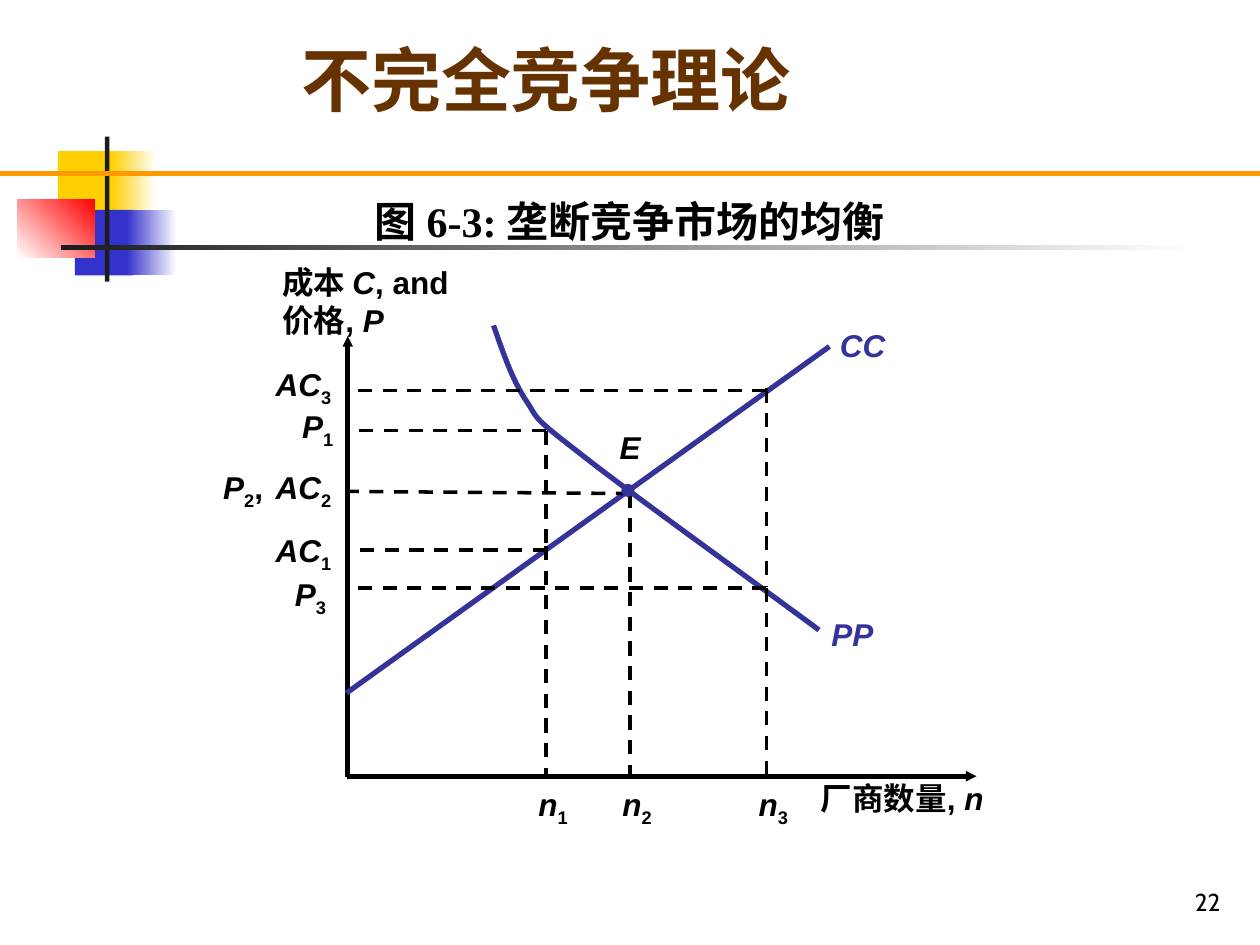
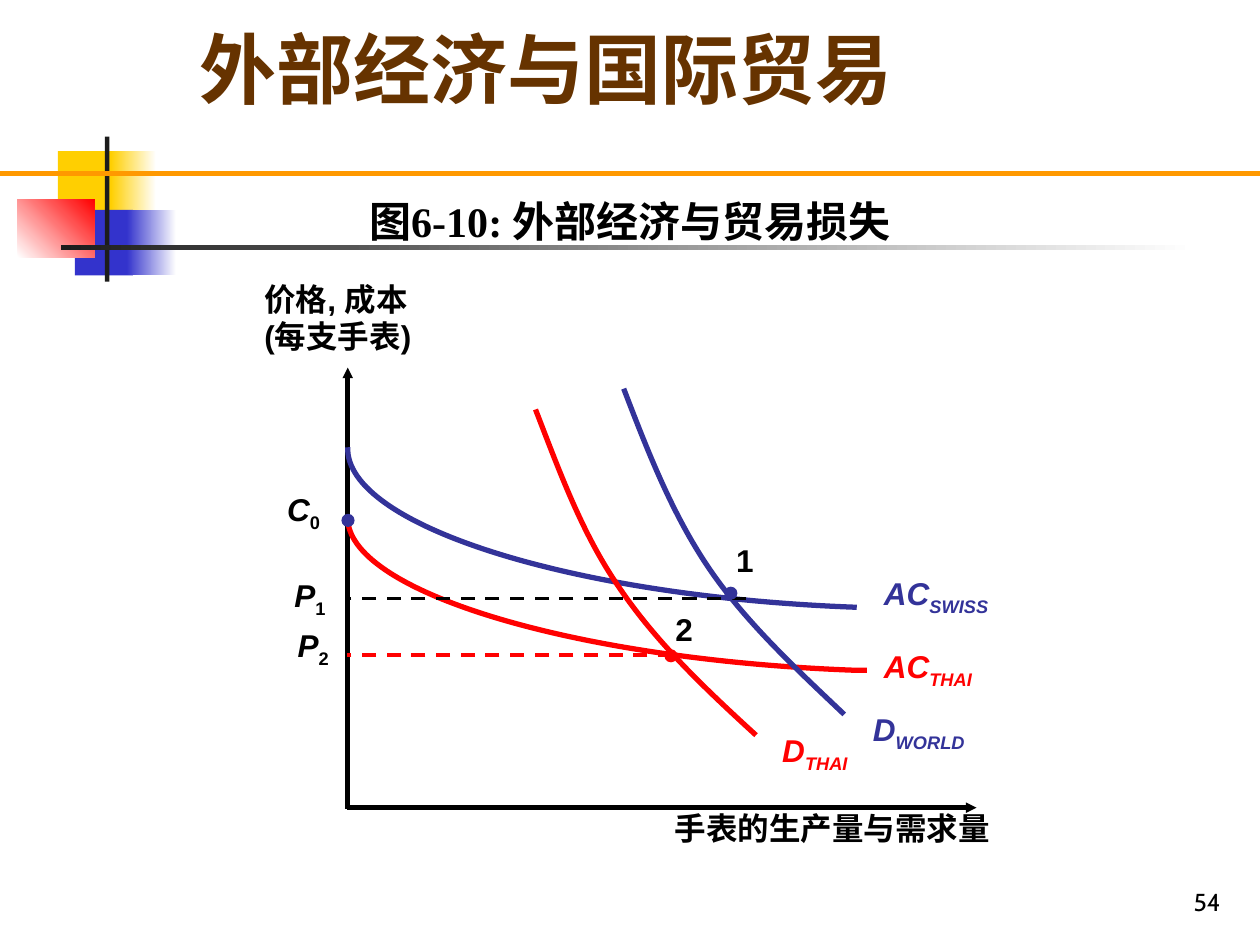
"""Build two economics slides: monopolistic competition and external economies."""
from dataclasses import dataclass

from lxml.etree import SubElement
from pptx import Presentation
from pptx.dml.color import RGBColor
from pptx.enum.dml import MSO_LINE
from pptx.enum.shapes import MSO_CONNECTOR, MSO_SHAPE
from pptx.enum.text import MSO_ANCHOR, PP_ALIGN
from pptx.oxml.ns import qn
from pptx.util import Inches, Pt


@dataclass(frozen=True)
class Theme:
    ink: str = "000000"
    white: str = "FFFFFF"
    brown: str = "663300"
    orange: str = "FF9900"
    yellow: str = "FFCF01"
    blue: str = "3333CC"
    pink: str = "FF0000"
    charcoal: str = "1C1C1C"
    navy: str = "333399"
    red: str = "FF0101"
    heading_font: str = "Times New Roman"
    label_font: str = "Arial"
    number_font: str = "Cabin"
    caption_size: int = 24
    label_size: int = 18
    number_size: int = 14
    curve_weight: int = 3
    guide_weight: int = 2


theme = Theme()
deck = Presentation()
deck.slide_width, deck.slide_height = Inches(10), Inches(7.5)
COLUMN = deck.slide_width // 100
ROW = deck.slide_height // 75


def write(page, place, paragraphs, size=theme.label_size, font=theme.label_font,
          colour=theme.ink, bold=True, align=PP_ALIGN.LEFT, anchor=MSO_ANCHOR.TOP,
          outline=None):
    """Add a text box; each span is (text, style), where i is italic and s subscript."""
    left, top, width, height = place
    frame_place = (int(left * COLUMN), int(top * ROW), int(width * COLUMN), int(height * ROW))
    if outline:
        box = page.shapes.add_shape(MSO_SHAPE.RECTANGLE, *frame_place)
        box.shadow.inherit = False
        box.fill.background()
        box.line.color.rgb = RGBColor.from_string(outline)
        box.line.width = Pt(1)
    else:
        box = page.shapes.add_textbox(*frame_place)
    frame = box.text_frame
    frame.word_wrap = True
    frame.vertical_anchor = anchor
    for index, spans in enumerate(paragraphs):
        para = frame.paragraphs[0] if index == 0 else frame.add_paragraph()
        para.alignment = align
        for text, style in spans:
            span = para.add_run()
            span.text = text
            span.font.name, span.font.size = font, Pt(size)
            span.font.bold, span.font.italic = bold, "i" in style
            span.font.color.rgb = RGBColor.from_string(colour)
            if "s" in style:
                span.font._element.set("baseline", "-25000")


def draw_line(page, start, end, colour=theme.ink, weight=theme.curve_weight,
              dashed=False, arrow=False):
    """Add a straight line, dashed or with a small arrowhead at its end if asked."""
    line = page.shapes.add_connector(
        MSO_CONNECTOR.STRAIGHT, int(start[0] * COLUMN), int(start[1] * ROW),
        int(end[0] * COLUMN), int(end[1] * ROW))
    line.line.color.rgb = RGBColor.from_string(colour)
    line.line.width = Pt(weight)
    if dashed:
        line.line.dash_style = MSO_LINE.DASH
    if arrow:
        SubElement(line.line._get_or_add_ln(), qn("a:tailEnd"),
                   type="triangle", w="sm", len="sm")
    SubElement(line._element.spPr, qn("a:effectLst"))


emblem = [
    ((4.6, 12, 4.8, 5.2), theme.yellow, None, 0),
    ((8.8, 12, 3.6, 5.2), theme.yellow, theme.white, 0),
    ((5.95, 16.65, 4.6, 5.2), theme.blue, None, 0),
    ((10.05, 16.65, 3.95, 5.2), theme.blue, theme.white, 0),
    ((1.4, 15.8, 6.1, 4.65), theme.white, theme.pink, 45),
    ((8.33, 10.85, 0.35, 11.5), theme.charcoal, None, 0),
    ((4.85, 19.47, 90, 0.35), theme.charcoal, theme.white, 0),
]

axis_left = 27.6
firm_counts = {"1": 43.35, "2": 50, "3": 60.83}
competition = {
    "number": "22",
    "title": "不完全竞争理论", "title_place": (0.83, 0, 85, 12.5), "title_size": 40,
    "caption": "图 6-3: 垄断竞争市场的均衡",
    "axis_top": 26.67, "axis_base": 61.6,
    "curves": [
        (theme.navy, [(39.17, 25.83), (39.9, 27.9), (40.6, 30), (41.67, 31.67),
                      (42.8, 33.3), (41.9, 32.8), (45.83, 35.83),
                      (49.7, 38.9), (57.4, 44.4), (65, 50)]),
    ],
    "lines": [((27.5, 55), (65.83, 27.5))],
    "guides": [
        ((60.83, 46.67), (27.5, 46.67), theme.ink),
        ((60.83, 31), (27.5, 31), theme.ink),
        ((60.83, 30.83), (60.83, 46.6), theme.ink),
        ((60.83, 46.67), (60.83, 61.67), theme.ink),
        ((43.33, 43.33), (43.33, 61.8), theme.ink),
        ((43.4, 43.67), (27.6, 43.67), theme.ink),
        ((50, 39.17), (27.5, 39), theme.ink),
        ((50, 39.17), (50, 61.8), theme.ink),
        ((43.33, 34.17), (27.5, 34.17), theme.ink),
        ((43.33, 34.17), (43.33, 43.33), theme.ink),
    ],
    "dots": [(49.83, 38.92, theme.navy)],
    "labels": [
        ((21.42, 20.4, 16.5, 7), theme.ink,
         [[("成本 ", ""), ("C", "i"), (", and", "")], [("价格, ", ""), ("P", "i")]]),
        ((64.17, 61.3, 15.83, 4), theme.ink, [[("厂商数量, ", ""), ("n", "i")]]),
        ((65, 48.3, 5.6, 4), theme.navy, [[("PP", "i")]]),
        ((65.67, 25.4, 5.9, 4), theme.navy, [[("CC", "i")]]),
        ((48.2, 33.5, 3.9, 4), theme.ink, [[("E", "i")]]),
        ((16.72, 36.67, 5.5, 4.4), theme.ink, [[("P", "i"), ("2", "s"), (",", "")]]),
        ((23, 31.83, 7, 4.4), theme.ink, [[("P", "i"), ("1", "s")]]),
        ((22.42, 45.17, 7.6, 4.4), theme.ink, [[("P", "i"), ("3", "s")]]),
    ] + [
        ((20.9, top, 6.7, 4.4), theme.ink, [[("AC", "i"), (mark, "s")]])
        for mark, top in (("1", 41.67), ("2", 36.67), ("3", 28.5))
    ] + [
        ((tick - 1.6, 61.8, 4.9, 4.4), theme.ink, [[("n", "i"), (mark, "s")]])
        for mark, tick in firm_counts.items()
    ],
}
trade = {
    "number": "54",
    "title": "外部经济与国际贸易", "title_place": (0.85, 0.83, 85, 9.1), "title_size": 44,
    "caption": "图6-10: 外部经济与贸易损失",
    "axis_top": 29.17, "axis_base": 64.1,
    "curves": [
        (theme.navy, [(68, 48.2), (45.5, 47.4), (27.4, 41.7), (27.6, 35.5)]),
        (theme.red, [(68.8, 53.2), (68.6, 53.2), (68.3, 53.2), (68, 53.2),
                     (45.5, 52.4), (27.4, 46.9), (27.6, 41)]),
        (theme.red, [(42.5, 32.5), (44.4, 37.4), (46.2, 42.4), (49.17, 46.67),
                     (52.1, 51), (56, 54.7), (60, 58.35)]),
        (theme.navy, [(49.5, 30.85), (51.4, 35.8), (53.3, 40.7), (56.2, 45),
                      (59.1, 49.3), (63.1, 53), (67, 56.7)]),
    ],
    "lines": [],
    "guides": [
        ((59.2, 47.5), (27.4, 47.5), theme.ink),
        ((53.33, 52), (27.5, 52), theme.red),
    ],
    "dots": [(27.62, 41.3, theme.navy), (53.25, 52.05, theme.red),
             (58, 47.08, theme.navy)],
    "labels": [
        ((20, 21.7, 16.7, 7), theme.ink, [[("价格, 成本", "")], [("(每支手表)", "")]]),
        ((52.55, 63.7, 27.5, 4), theme.ink, [[("手表的生产量与需求量", "")]]),
        ((69.17, 45.05, 16, 4.4), theme.navy, [[("AC", "i"), ("SWISS", "is")]]),
        ((69.17, 50.87, 14.3, 4.4), theme.red, [[("AC", "i"), ("THAI", "is")]]),
        ((61.1, 57.5, 7.5, 4.4), theme.red, [[("D", "i"), ("THAI", "is")]]),
        ((68.3, 55.85, 9.6, 4.4), theme.navy, [[("D", "i"), ("WORLD", "is")]]),
        ((57.45, 42.45, 3.7, 4), theme.ink, [[("1", "")]]),
        ((52.63, 47.9, 3.6, 4), theme.ink, [[("2", "")]]),
        ((21.8, 38.4, 8.2, 4.4), theme.ink, [[("C", "i"), ("0", "s")]]),
        ((22.37, 45.2, 4.8, 4.4), theme.ink, [[("P", "i"), ("1", "s")]]),
    ],
    "boxed_label": ((22.63, 49.2, 4.5, 4.4), [[("P", "i"), ("2", "s")]]),
}

for chart in (competition, trade):
    page = deck.slides.add_slide(deck.slide_layouts[6])

    for (left, top, width, height), first, last, angle in emblem:
        block = page.shapes.add_shape(MSO_SHAPE.RECTANGLE, int(left * COLUMN), int(top * ROW),
                                      int(width * COLUMN), int(height * ROW))
        block.shadow.inherit = False
        block.line.fill.background()
        if last:
            block.fill.gradient()
            block.fill.gradient_angle = angle
            for stop, colour in zip(block.fill.gradient_stops, (first, last)):
                stop.color.rgb = RGBColor.from_string(colour)
        else:
            block.fill.solid()
            block.fill.fore_color.rgb = RGBColor.from_string(first)
    draw_line(page, (0, 13.77), (100, 13.77), theme.orange)

    write(page, chart["title_place"], [[(chart["title"], "")]], chart["title_size"],
          theme.heading_font, theme.brown, align=PP_ALIGN.CENTER, anchor=MSO_ANCHOR.MIDDLE)
    write(page, (0, 14.2, 100, 5.8), [[(chart["caption"], "")]], theme.caption_size,
          theme.heading_font, align=PP_ALIGN.CENTER, anchor=MSO_ANCHOR.BOTTOM)
    write(page, (77.05, 68.25, 20.8, 5), [[(chart["number"], "")]], theme.number_size,
          theme.number_font, bold=False, align=PP_ALIGN.RIGHT, anchor=MSO_ANCHOR.BOTTOM)

    base = chart["axis_base"]
    draw_line(page, (27.5, base), (77.5, base), arrow=True)
    draw_line(page, (axis_left, base + 0.1), (axis_left, chart["axis_top"]), arrow=True)

    for colour, knots in chart["curves"]:
        outline = [(int(x * COLUMN), int(y * ROW)) for x, y in knots]
        builder = page.shapes.build_freeform(*outline[0])
        builder.add_line_segments(outline[1:], close=False)
        curve = builder.convert_to_shape()
        route = next(curve._element.iter(qn("a:path")))
        segments = route.findall(qn("a:lnTo"))
        for first in range(0, len(segments), 3):
            bend = SubElement(route, qn("a:cubicBezTo"))
            for segment in segments[first:first + 3]:
                bend.append(segment[0])
                route.remove(segment)
        curve.shadow.inherit = False
        curve.fill.background()
        curve.line.color.rgb = RGBColor.from_string(colour)
        curve.line.width = Pt(theme.curve_weight)

    for start, end in chart["lines"]:
        draw_line(page, start, end, theme.navy)
    for start, end, colour in chart["guides"]:
        draw_line(page, start, end, colour, theme.guide_weight, dashed=True)

    for x, y, colour in chart["dots"]:
        dot = page.shapes.add_shape(MSO_SHAPE.OVAL, int((x - 0.45) * COLUMN),
                                    int((y - 0.45) * ROW), int(0.9 * COLUMN), int(0.9 * ROW))
        dot.shadow.inherit = False
        dot.fill.solid()
        dot.fill.fore_color.rgb = dot.line.color.rgb = RGBColor.from_string(colour)
        dot.line.width = Pt(1)

    for place, colour, paragraphs in chart["labels"]:
        write(page, place, paragraphs, colour=colour)
    if "boxed_label" in chart:
        write(page, *chart["boxed_label"], outline=theme.white)

deck.save("out.pptx")
